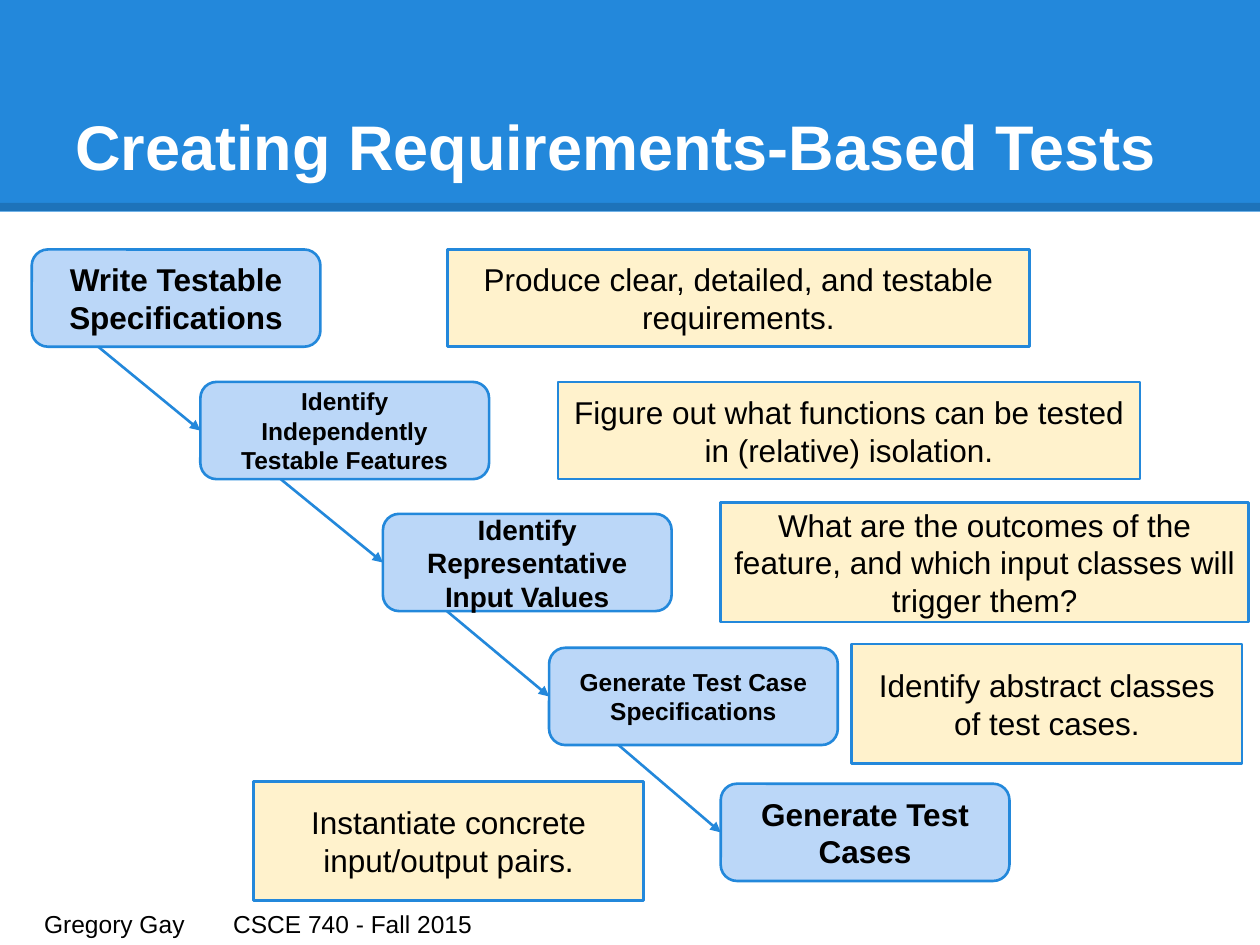
from dataclasses import dataclass

from lxml import etree
from pptx import Presentation
from pptx.dml.color import RGBColor
from pptx.enum.shapes import MSO_CONNECTOR, MSO_SHAPE
from pptx.enum.text import MSO_ANCHOR, MSO_AUTO_SIZE, PP_ALIGN
from pptx.oxml.ns import qn
from pptx.shapes.autoshape import Shape
from pptx.shapes.connector import Connector
from pptx.slide import Slide
from pptx.text.text import TextFrame
from pptx.util import Cm, Pt

RECT = MSO_SHAPE.RECTANGLE
ROUND = MSO_SHAPE.ROUNDED_RECTANGLE
LINE = MSO_CONNECTOR.STRAIGHT
LEFT, CENTER = PP_ALIGN.LEFT, PP_ALIGN.CENTER
TOP, MIDDLE, BOTTOM = MSO_ANCHOR.TOP, MSO_ANCHOR.MIDDLE, MSO_ANCHOR.BOTTOM
FIXED = MSO_AUTO_SIZE.NONE

BLUE = RGBColor(0x23, 0x88, 0xDB)
PALE = RGBColor(0xBB, 0xD7, 0xF8)
CREAM = RGBColor(0xFF, 0xF2, 0xCC)
BLACK = RGBColor(0, 0, 0)
WHITE = RGBColor(0xFF, 0xFF, 0xFF)

WIDE, HIGH = 25.4, 19.05
INSET = 0.25
RUN = 2.06


@dataclass
class Box:
    text: str
    left: float
    top: float
    width: float = 5.82
    height: float = 1.96
    size: int = 18


STEPS = [
    Box("Write Testable Specifications", 0.64, 5.03),
    Box("Identify Independently Testable Features", 4.04, 7.7, size=14),
    Box("Identify Representative Input Values", 7.72, 10.36, size=16),
    Box("Generate Test Case Specifications", 11.07, 13.06, size=14),
    Box("Generate Test Cases", 14.53, 15.8),
]
NOTES = [
    Box("Produce clear, detailed, and testable requirements.", 9.02, 5.03, 11.73),
    Box("Figure out what functions can be tested in (relative) isolation.",
        11.25, 7.7, 11.73),
    Box("What are the outcomes of the feature, and which input classes will trigger them?",
        14.53, 10.13, 10.64, 2.41),
    Box("Identify abstract classes of test cases.", 17.17, 12.98, 7.87, 2.41),
    Box("Instantiate concrete input/output pairs.", 5.11, 15.75, 7.87, 2.41),
]


def write(frame: TextFrame, text: str, size: int, color: RGBColor,
          align: PP_ALIGN, anchor: MSO_ANCHOR, bold: bool = False) -> None:
    frame.text = text
    frame.word_wrap = True
    frame.auto_size = FIXED
    frame.vertical_anchor = anchor
    frame.margin_left = frame.margin_right = Cm(INSET)
    frame.margin_top = frame.margin_bottom = Cm(INSET)
    para = frame.paragraphs[0]
    para.alignment = align
    font = para.font
    font.name = "Arial"
    font.size = Pt(size)
    font.bold = bold
    font.color.rgb = color


def draw_box(slide: Slide, box: Box, kind: MSO_SHAPE, fill: RGBColor,
             bold: bool = False) -> Shape:
    shape = slide.shapes.add_shape(
        kind, Cm(box.left), Cm(box.top), Cm(box.width), Cm(box.height))
    shape.shadow.inherit = False
    shape.fill.solid()
    shape.fill.fore_color.rgb = fill
    shape.line.color.rgb = BLUE
    shape.line.width = Pt(1.5)
    write(shape.text_frame, box.text, box.size, BLACK, CENTER, MIDDLE, bold)
    return shape


def draw_line(slide: Slide, start: tuple[float, float], end: tuple[float, float],
              color: RGBColor, width: float) -> Connector:
    line = slide.shapes.add_connector(
        LINE, Cm(start[0]), Cm(start[1]), Cm(end[0]), Cm(end[1]))
    line.line.color.rgb = color
    line.line.width = Pt(width)
    etree.SubElement(line._element.spPr, qn("a:effectLst"))
    return line


def draw_arrow(slide: Slide, above: Box, below: Box, target: Shape) -> None:
    start = below.left - RUN, above.top + above.height
    end = below.left, below.top + below.height / 2
    arrow = draw_line(slide, start, end, BLUE, 1.5)
    arrow.end_connect(target, 1)
    etree.SubElement(arrow.line._get_or_add_ln(), qn("a:tailEnd"), type="triangle")


def draw_head(slide: Slide) -> None:
    title = slide.shapes.title
    band = slide.shapes.add_shape(RECT, 0, 0, Cm(WIDE), Cm(4.27))
    band.shadow.inherit = False
    band.fill.solid()
    band.fill.fore_color.rgb = BLUE
    band.line.fill.background()
    edge = draw_line(slide, (0, 4.17), (WIDE, 4.17), BLACK, 4.5)
    tint = edge.line._get_or_add_ln().find(".//" + qn("a:srgbClr"))
    etree.SubElement(tint, qn("a:alpha"), val="15000")
    edge._element.addnext(title._element)
    title.left, title.top = Cm(1.27), Cm(0.76)
    title.width, title.height = Cm(22.86), Cm(3.18)
    write(title.text_frame, "Creating Requirements-Based Tests", 36, WHITE,
          LEFT, BOTTOM, True)


def draw_foot(slide: Slide) -> None:
    foot = slide.shapes.add_textbox(Cm(0.64), Cm(18.08), Cm(24.16), Cm(0.76))
    props = foot.text_frame.paragraphs[0]._p.get_or_add_pPr()
    tabs = etree.SubElement(props, qn("a:tabLst"))
    etree.SubElement(tabs, qn("a:tab"), pos=str(Cm(15.24)), algn="l")
    write(foot.text_frame, "Gregory Gay\tCSCE 740 - Fall 2015", 14, BLACK, LEFT, TOP)


def main() -> None:
    deck = Presentation()
    deck.slide_width, deck.slide_height = Cm(WIDE), Cm(HIGH)
    slide = deck.slides.add_slide(deck.slide_layouts[5])
    draw_head(slide)
    draw_foot(slide)
    shapes = [draw_box(slide, step, ROUND, PALE, True) for step in STEPS]
    for above, below, target in zip(STEPS, STEPS[1:], shapes[1:]):
        draw_arrow(slide, above, below, target)
    for note in NOTES:
        draw_box(slide, note, RECT, CREAM)
    deck.save("out.pptx")


if __name__ == "__main__":
    main()
